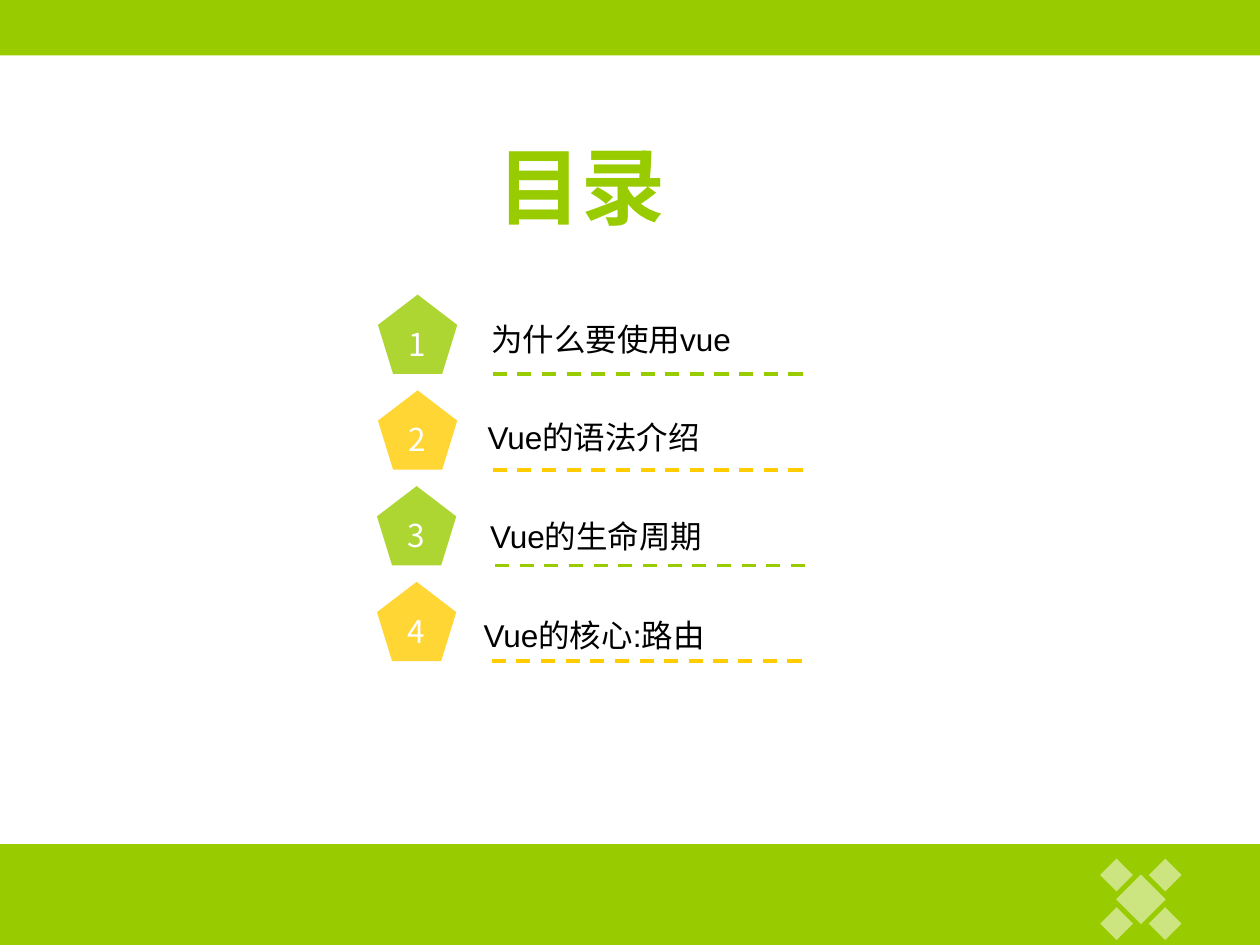
from pptx import Presentation
from pptx.dml.color import RGBColor
from pptx.enum.dml import MSO_LINE
from pptx.enum.shapes import MSO_CONNECTOR, MSO_SHAPE
from pptx.enum.text import MSO_ANCHOR, MSO_AUTO_SIZE, PP_ALIGN
from pptx.oxml.ns import qn
from pptx.util import Cm, Pt
from lxml.etree import SubElement

GREEN, YELLOW, WHITE, BLACK = "99CC00", "FFCC00", "FFFFFF", "000000"
LATIN, CHINESE = "Arial", "Noto Sans CJK SC"
WIDTH, HEIGHT = 25.4, 19.05


def colour(value):
    return RGBColor.from_string(value)


class ContentsPage:
    """Holds the style and the current slide, and draws each kind of element."""

    def __init__(self, page):
        self.page = page

    def shape(self, kind, left, top, width, height, fill, opacity=100):
        shape = self.page.shapes.add_shape(
            kind, Cm(left), Cm(top), Cm(width), Cm(height))
        shape.shadow.inherit = False
        shape.line.fill.background()
        shape.fill.solid()
        shape.fill.fore_color.rgb = colour(fill)
        if opacity < 100:
            tint = shape._element.spPr.find(qn("a:solidFill"))[0]
            SubElement(tint, qn("a:alpha"), val=str(opacity * 1000))
        return shape

    def diamond(self, centre_x, centre_y, size):
        self.shape(MSO_SHAPE.DIAMOND, centre_x - size / 2, centre_y - size / 2,
                   size, size, WHITE, 50)

    def label(self, shape, text, size, ink, align, font=LATIN, bold=False, wrap=False):
        frame = shape.text_frame
        frame.text = text
        frame.word_wrap = wrap
        para = frame.paragraphs[0]
        para.alignment = align
        span = para.runs[0]
        span.font.name = font
        span.font.size = Pt(size)
        span.font.bold = bold
        span.font.color.rgb = colour(ink)
        SubElement(span._r.get_or_add_rPr(), qn("a:ea"), typeface=CHINESE)

    def text(self, left, top, width, height, text, size, ink,
             align=PP_ALIGN.LEFT, bold=False, wrap=False):
        box = self.page.shapes.add_textbox(Cm(left), Cm(top), Cm(width), Cm(height))
        self.label(box, text, size, ink, align, bold=bold, wrap=wrap)
        box.text_frame.auto_size = MSO_AUTO_SIZE.SHAPE_TO_FIT_TEXT

    def badge(self, left, top, size, text, fill):
        badge = self.shape(MSO_SHAPE.REGULAR_PENTAGON, left, top, size, size, fill, 80)
        self.label(badge, text, 18, WHITE, PP_ALIGN.CENTER, font=CHINESE)
        badge.text_frame.vertical_anchor = MSO_ANCHOR.MIDDLE

    def dashes(self, left, top, length, ink):
        rule = self.page.shapes.add_connector(
            MSO_CONNECTOR.STRAIGHT, Cm(left), Cm(top), Cm(left + length), Cm(top))
        rule.line.color.rgb = colour(ink)
        rule.line.width = Pt(2)
        rule.line.dash_style = MSO_LINE.DASH
        SubElement(rule._element.spPr, qn("a:effectLst"))


def main():
    deck = Presentation()
    deck.slide_width, deck.slide_height = Cm(WIDTH), Cm(HEIGHT)
    contents = ContentsPage(deck.slides.add_slide(deck.slide_layouts[6]))

    contents.shape(MSO_SHAPE.RECTANGLE, 0, 0, WIDTH, 1.12, GREEN)
    contents.shape(MSO_SHAPE.RECTANGLE, 0, 17.02, WIDTH, 2.03, GREEN)

    centre_x, centre_y, offset = 23, 18.13, 0.49
    contents.diamond(centre_x, centre_y, 1)
    for side_x in (-offset, offset):
        for side_y in (-offset, offset):
            contents.diamond(centre_x + side_x, centre_y + side_y, 0.66)

    contents.text(7.77, 2.59, 7.92, 2.29, "目录", 48, GREEN,
                  PP_ALIGN.CENTER, bold=True, wrap=True)

    badge_size, badge_top, badge_pitch = 1.6, 5.94, 1.93
    label_top, label_pitch = 6.32, 1.99
    chapters = [
        ("为什么要使用vue", 7.62, 9.93, 9.65, 5.49),
        ("Vue的语法介绍", 7.62, 9.93, 9.58, 4.95),
        ("Vue的生命周期", 7.6, 9.98, 9.63, 4.95),
        ("Vue的核心:路由", 7.6, 9.91, 9.5, 5.44),
    ]
    for row, (title, badge_left, rule_left, label_left, label_width) in enumerate(chapters):
        accent = (GREEN, YELLOW)[row % 2]
        top = badge_top + row * badge_pitch
        contents.badge(badge_left, top, badge_size, str(row + 1), accent)
        contents.dashes(rule_left, top + badge_size, 6.4, accent)
        contents.text(label_left, label_top + row * label_pitch, label_width, 1.02,
                      title, 18, BLACK)

    deck.save("out.pptx")


if __name__ == "__main__":
    main()
